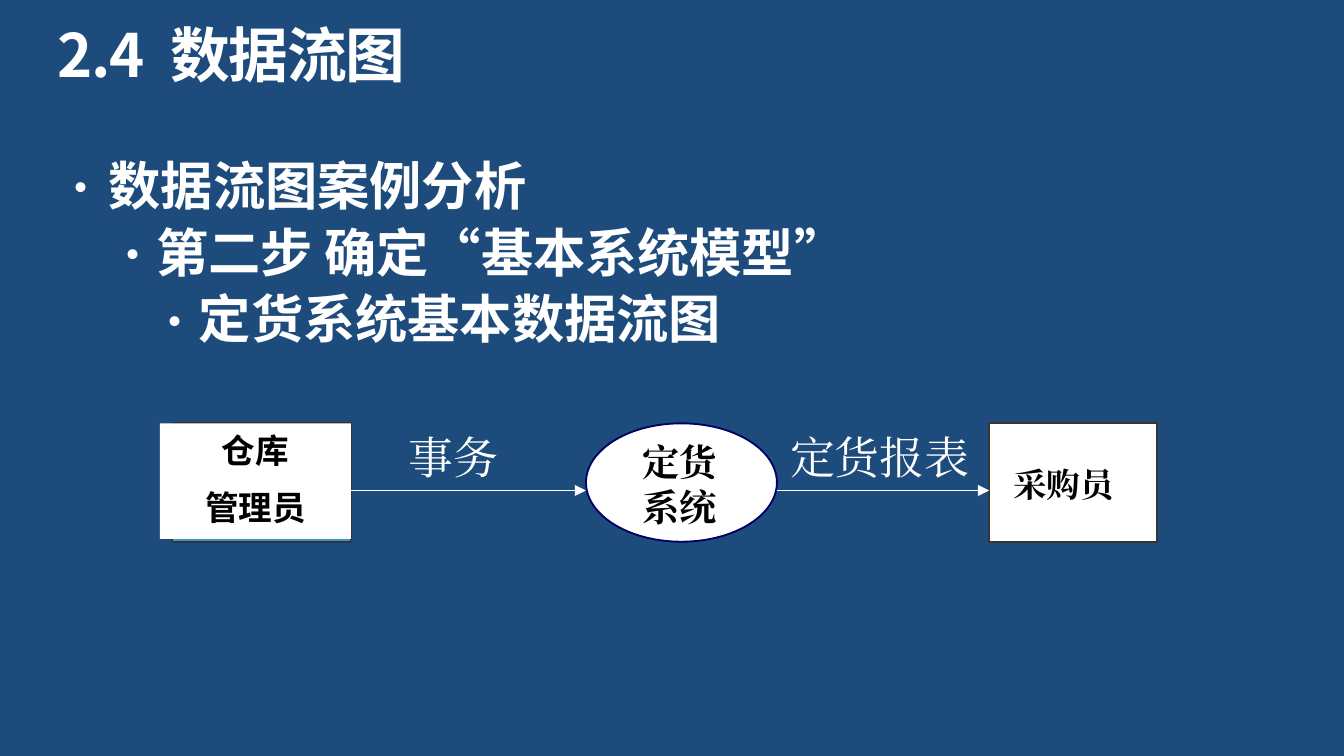
from dataclasses import dataclass
from typing import NamedTuple, Sequence

import pptx
import pptx.dml.color
import pptx.enum.shapes
import pptx.enum.text
import pptx.oxml
import pptx.oxml.ns
import pptx.util

Pt = pptx.util.Pt
SHAPES = pptx.enum.shapes.MSO_SHAPE
ALIGN = pptx.enum.text.PP_ALIGN


@dataclass(frozen=True)
class Theme:
    background: str = "1D4C7C"
    light: str = "FFFFFF"
    dark: str = "000000"
    shade: str = "3397D3"
    outline: str = "363535"
    process_outline: str = "000066"
    sans: str = "Noto Sans CJK SC"
    serif: str = "Times New Roman"
    title: float = 32
    body: float = 28
    flow: float = 24
    process: float = 20
    entity: float = 18


class Area(NamedTuple):
    left: float
    top: float
    width: float
    height: float


class Span(NamedTuple):
    text: str
    spacing: float = 0


class Node(NamedTuple):
    kind: int
    area: Area
    fill: str
    outline: str | None


class Label(NamedTuple):
    text: str
    area: Area
    size: float
    color: str
    bold: bool


class Bullet(NamedTuple):
    text: str
    indent: float
    hanging: float


THEME = Theme()
FLOW_TOP, FLOW_HEIGHT, ARROW_Y = 226.8, 63.4, 262.8

NODES = [
    Node(SHAPES.FLOWCHART_PROCESS, Area(92.2, FLOW_TOP, 95.8, FLOW_HEIGHT), THEME.shade, THEME.outline),
    Node(SHAPES.FLOWCHART_CONNECTOR, Area(313.9, FLOW_TOP, 102.3, FLOW_HEIGHT), THEME.light, THEME.process_outline),
    Node(SHAPES.FLOWCHART_PROCESS, Area(529.9, FLOW_TOP, 90, FLOW_HEIGHT), THEME.light, THEME.outline),
]
KEEPER = Node(SHAPES.RECTANGLE, Area(85.7, FLOW_TOP, 102.3, 61.9), THEME.light, None)
LABELS = [
    Label("定货系统", Area(337, 231.8, 72, 55.4), THEME.process, THEME.dark, True),
    Label("采购员", Area(535.7, 244.8, 102.2, 28.8), THEME.entity, THEME.dark, True),
    Label("事务", Area(211.7, FLOW_TOP, 72, 36.7), THEME.flow, THEME.light, False),
    Label("定货报表", Area(416.2, FLOW_TOP, 131.8, 36.7), THEME.flow, THEME.light, False),
]
BULLETS = [
    Bullet("数据流图案例分析", 27.2, 27.2),
    Bullet("第二步 确定“基本系统模型”", 50.6, 23.2),
    Bullet("定货系统基本数据流图", 74, 23.6),
]


def rgb(color: str) -> pptx.dml.color.RGBColor:
    return pptx.dml.color.RGBColor.from_string(color)


def add_element(parent, tag: str, **attributes: str) -> None:
    element = pptx.oxml.parse_xml(f"<{tag} {pptx.oxml.ns.nsdecls('a')}/>")
    for name, value in attributes.items():
        element.set(name, value)
    parent.append(element)


def write_spans(para, spans: Sequence[Span], *, font: str, size: float, color: str,
                bold: bool = True, align=ALIGN.LEFT, line_spacing: float = 1,
                space_before: float = 0) -> None:
    para.alignment = align
    para.line_spacing = line_spacing
    para.space_before = Pt(space_before)
    for item in spans:
        span = para.add_run()
        span.text = item.text
        span.font.name = font
        span.font.size = Pt(size)
        span.font.bold = bold
        span.font.color.rgb = rgb(color)
        properties = span.font._element
        properties.set("lang", "zh-CN")
        if item.spacing:
            properties.set("spc", str(round(item.spacing * 100)))
        add_element(properties, "a:ea", typeface=font)


def add_text_box(page, area: Area, margin: float | None = None):
    box = page.shapes.add_textbox(*map(Pt, area))
    frame = box.text_frame
    frame.word_wrap = True
    if margin is not None:
        frame.margin_left = frame.margin_right = Pt(margin)
        frame.margin_top = frame.margin_bottom = Pt(margin)
    return frame


def add_node(page, node: Node):
    shape = page.shapes.add_shape(node.kind, *map(Pt, node.area))
    shape.shadow.inherit = False
    shape.fill.solid()
    shape.fill.fore_color.rgb = rgb(node.fill)
    if node.outline:
        shape.line.color.rgb = rgb(node.outline)
        shape.line.width = Pt(1)
    else:
        shape.line.fill.background()
    return shape


def add_arrow(page, source: Node, target: Node) -> None:
    start, end = source.area.left + source.area.width, target.area.left
    arrow = page.shapes.add_connector(pptx.enum.shapes.MSO_CONNECTOR.STRAIGHT,
                                      Pt(start), Pt(ARROW_Y), Pt(end), Pt(ARROW_Y))
    arrow.line.color.rgb = rgb(THEME.light)
    arrow.line.width = Pt(1)
    add_element(arrow.line._get_or_add_ln(), "a:tailEnd", type="triangle")
    add_element(arrow._element.spPr, "a:effectLst")


def add_bullets(page) -> None:
    frame = add_text_box(page, Area(31, 85.7, 658.8, 105.1), margin=0)
    for level, bullet in enumerate(BULLETS):
        para = frame.add_paragraph() if level else frame.paragraphs[0]
        para.level = level
        write_spans(para, [Span(bullet.text)], font=THEME.sans, size=THEME.body,
                    color=THEME.light, line_spacing=0.9, space_before=5.6 if level else 0)
        properties = para._element.get_or_add_pPr()
        properties.set("marL", str(Pt(bullet.indent)))
        properties.set("indent", str(-Pt(bullet.hanging)))
        add_element(properties, "a:buSzPct", val="90000")
        add_element(properties, "a:buFont", typeface=THEME.sans)
        add_element(properties, "a:buChar", char="•")


def add_keeper(page) -> None:
    """Draw the warehouse keeper entity with its two-line name."""
    frame = add_node(page, KEEPER).text_frame
    frame.word_wrap = True
    frame.vertical_anchor = pptx.enum.text.MSO_ANCHOR.TOP
    for index, text in enumerate(["仓库", "管理员"]):
        para = frame.add_paragraph() if index else frame.paragraphs[0]
        write_spans(para, [Span(text)], font=THEME.sans, size=THEME.entity, color=THEME.dark,
                    align=ALIGN.CENTER, space_before=9 if index else 0)


def main() -> None:
    deck = pptx.Presentation()
    deck.slide_width, deck.slide_height = Pt(720), Pt(405)
    page = deck.slides.add_slide(deck.slide_layouts[6])
    page.background.fill.solid()
    page.background.fill.fore_color.rgb = rgb(THEME.background)

    title = add_text_box(page, Area(31, 13.7, 658.8, 34.6), margin=0)
    write_spans(title.paragraphs[0], [Span("2.4", -0.8), Span(" ", 6.5), Span("数据流图", -0.8)],
                font=THEME.sans, size=THEME.title, color=THEME.light, line_spacing=0.9)
    add_bullets(page)

    for node in NODES:
        add_node(page, node)
    for source, target in zip(NODES, NODES[1:]):
        add_arrow(page, source, target)
    add_keeper(page)
    for label in LABELS:
        frame = add_text_box(page, label.area)
        write_spans(frame.paragraphs[0], [Span(label.text)], font=THEME.serif,
                    size=label.size, color=label.color, bold=label.bold)

    deck.save("out.pptx")


if __name__ == "__main__":
    main()
